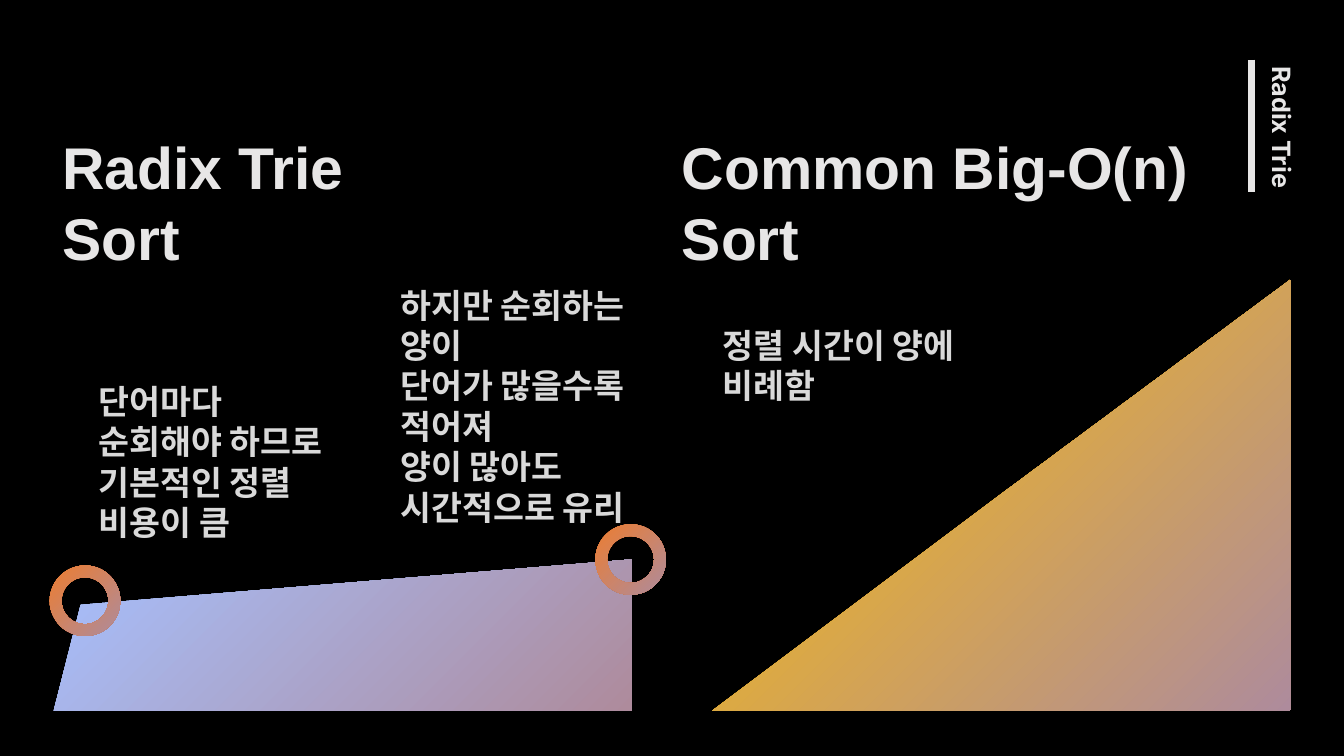
"""Build a slide comparing radix trie sorting with common linear sorting."""
from lxml.etree import SubElement
from pptx import Presentation
from pptx.dml.color import RGBColor
from pptx.enum.shapes import MSO_CONNECTOR, MSO_SHAPE
from pptx.enum.text import MSO_ANCHOR, MSO_AUTO_SIZE, PP_ALIGN
from pptx.oxml.ns import qn
from pptx.util import Inches, Pt

BLACK = RGBColor(0x00, 0x00, 0x00)
LIGHT = RGBColor(0xE7, 0xE6, 0xE6)
GREY = RGBColor(0xD9, 0xD9, 0xD9)
MAUVE = RGBColor(0xAE, 0x8B, 0x9C)
BLUE = RGBColor(0xA6, 0xC0, 0xFE)
GOLD = RGBColor(0xFF, 0xC0, 0x00)
ORANGE = RGBColor(0xED, 0x7D, 0x31)
KOREAN = "Noto Sans CJK KR"

deck = Presentation()
deck.slide_width, deck.slide_height = Inches(13.33), Inches(7.5)
COLUMN, ROW = deck.slide_width / 100, deck.slide_height / 100
page = deck.slides.add_slide(deck.slide_layouts[5])
page.background.fill.solid()
page.background.fill.fore_color.rgb = BLACK


def write(box, text, font, size, color, leading=None):
    frame = box.text_frame
    frame.text = text
    frame.word_wrap = True
    frame.auto_size = MSO_AUTO_SIZE.SHAPE_TO_FIT_TEXT
    frame.vertical_anchor = MSO_ANCHOR.TOP
    for para in frame.paragraphs:
        para.alignment = PP_ALIGN.LEFT
        para.line_spacing = leading
        for span in para.runs:
            span.font.size, span.font.bold = Pt(size), True
            span.font.color.rgb = color
            span.font.name = font
            SubElement(span._r.get_or_add_rPr(), qn("a:ea"), typeface=font)


def shade(shape, start):
    shape.shadow.inherit = False
    shape.line.fill.background()
    shape.fill.gradient()
    shape.fill.gradient_angle = 315
    for stop, color in zip(shape.fill.gradient_stops, (start, MAUVE)):
        stop.color.rgb = color


label = page.shapes.add_textbox(*map(int, (93.15 * COLUMN, 7.45 * ROW, 3.75 * COLUMN, 17.9 * ROW)))
write(label, "Radix Trie", "Inter", 18, LIGHT)
label.text_frame.word_wrap = False
label.text_frame._txBody.bodyPr.set("vert", "eaVert")

bar_x = int(93.15 * COLUMN)
bar = page.shapes.add_connector(MSO_CONNECTOR.STRAIGHT, bar_x, int(7.9 * ROW), bar_x, int(25.35 * ROW))
bar.line.color.rgb = LIGHT
bar.line.width = Pt(5)
SubElement(bar._element.spPr, qn("a:effectLst"))

BASE = 93.6
slopes = [
    (BLUE, [(5.93, 80.4), (47.1, 74), (47.25, BASE), (4.2, BASE)]),
    (GOLD, [(73.9, 65.7), (95.8, 36.7), (95.8, BASE), (52.8, BASE)]),
]
for color, corners in slopes:
    start, *rest = corners
    builder = page.shapes.build_freeform(*start, scale=(COLUMN, ROW))
    builder.add_line_segments(rest, close=True)
    shade(builder.convert_to_shape(), color)

headings = [
    (page.shapes.title, 3.9, 46.05, "Radix Trie\nSort"),
    (page.shapes.add_textbox(0, 0, 0, 0), 50, 45.5, "Common Big-O(n)\nSort"),
]
for box, column, width, text in headings:
    box.left, box.width = int(column * COLUMN), int(width * COLUMN)
    box.top, box.height = int(16.5 * ROW), int(20.1 * ROW)
    write(box, text, "Arial", 42, LIGHT, Pt(50.8))

RING = Inches(0.7)
for column, row in [(44.3, 69.35), (3.7, 74.8)]:
    ring = page.shapes.add_shape(MSO_SHAPE.DONUT, int(column * COLUMN), int(row * ROW), RING, RING)
    ring.adjustments[0] = 0.168
    shade(ring, ORANGE)

notes = [
    (6.6, 49.7, 19.1, 12.1, "단어마다 순회해야 하므로\n기본적인 정렬 비용이 큼"),
    (29.05, 36.95, 21.1, 17.5, "하지만 순회하는 양이\n단어가 많을수록 적어져\n양이 많아도 시간적으로 유리"),
    (53.05, 42.25, 20.55, 6.7, "정렬 시간이 양에 비례함"),
]
for column, row, width, height, text in notes:
    box = page.shapes.add_textbox(int(column * COLUMN), int(row * ROW), int(width * COLUMN), int(height * ROW))
    write(box, text, KOREAN, 24, GREY, Pt(28.9))

deck.save("out.pptx")
